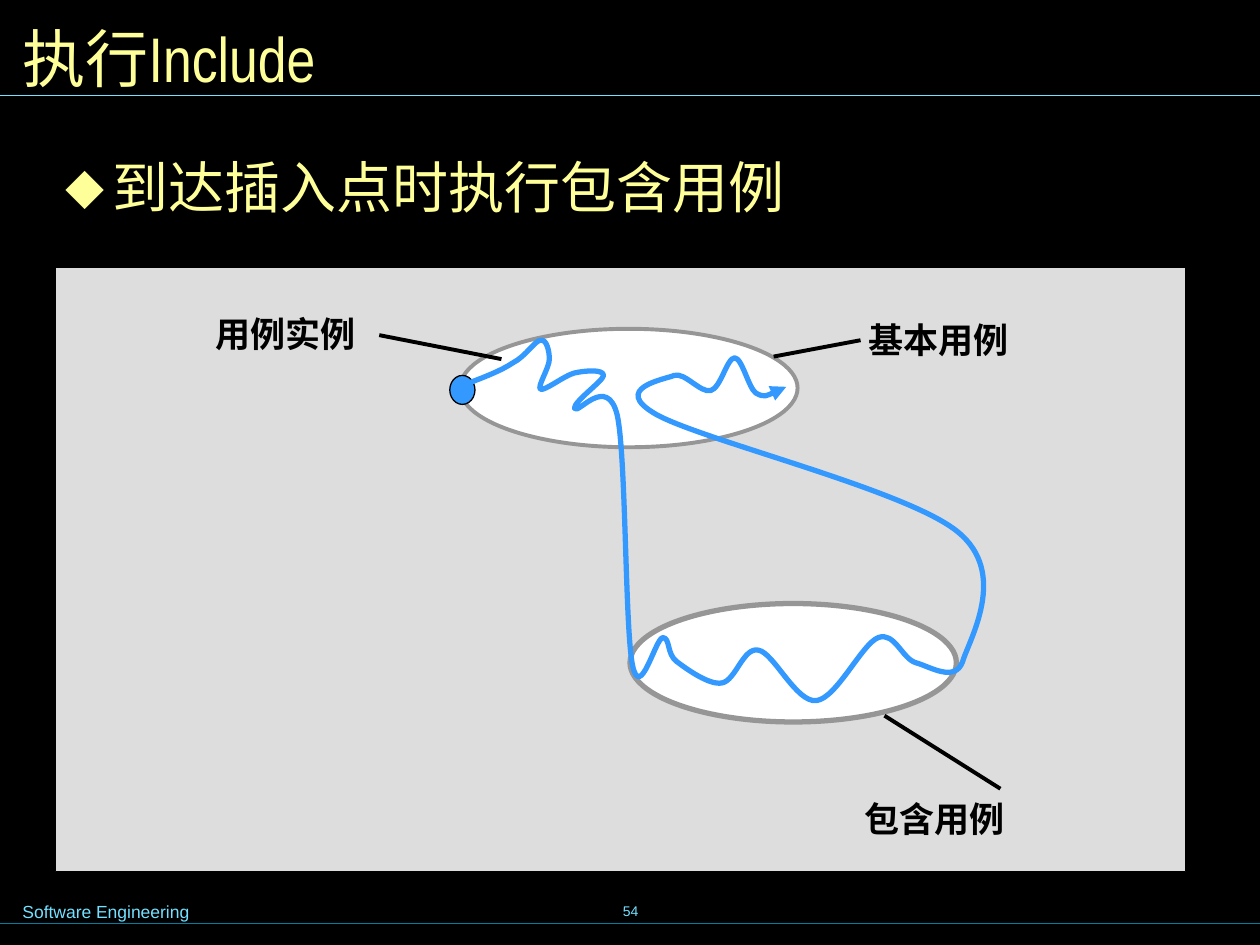
from lxml import etree
from pptx import Presentation
from pptx.dml.color import RGBColor
from pptx.enum.shapes import MSO_CONNECTOR, MSO_SHAPE
from pptx.enum.text import MSO_ANCHOR, MSO_AUTO_SIZE, PP_ALIGN
from pptx.oxml.ns import qn
from pptx.util import Inches, Pt

STRAIGHT = MSO_CONNECTOR.STRAIGHT
OVAL, RECTANGLE = MSO_SHAPE.OVAL, MSO_SHAPE.RECTANGLE
TOP, MIDDLE = MSO_ANCHOR.TOP, MSO_ANCHOR.MIDDLE
LEFT, CENTER = PP_ALIGN.LEFT, PP_ALIGN.CENTER
NO_AUTOFIT = MSO_AUTO_SIZE.NONE

BLACK = RGBColor(0x00, 0x00, 0x00)
WHITE = RGBColor(0xFF, 0xFF, 0xFF)
YELLOW = RGBColor(0xFF, 0xFF, 0x99)
CYAN = RGBColor(0x73, 0xE1, 0xFF)
TEAL = RGBColor(0x00, 0x7E, 0x9F)
PANEL_GRAY = RGBColor(0xDD, 0xDD, 0xDD)
OUTLINE_GRAY = RGBColor(0x96, 0x96, 0x96)
FLOW_BLUE = RGBColor(0x33, 0x99, 0xFF)

FLOW_START = (3.72, 3.04)
# Each row is one Bezier segment: two control points and an end point.
FLOW_CURVES = [
    [(3.85, 2.99), (3.98, 2.94), (4.07, 2.88)],
    [(4.17, 2.83), (4.25, 2.7), (4.29, 2.7)],
    [(4.34, 2.69), (4.36, 2.79), (4.36, 2.85)],
    [(4.36, 2.92), (4.26, 3.07), (4.29, 3.09)],
    [(4.33, 3.1), (4.48, 2.98), (4.56, 2.96)],
    [(4.65, 2.94), (4.79, 2.93), (4.79, 2.98)],
    [(4.79, 3.02), (4.55, 3.19), (4.56, 3.24)],
    [(4.58, 3.3), (4.82, 2.96), (4.9, 3.3)],
    [(4.97, 3.64), (4.96, 4.99), (5.02, 5.28)],
    [(5.08, 5.57), (5.2, 5.07), (5.26, 5.06)],
    [(5.32, 5.06), (5.29, 5.19), (5.37, 5.25)],
    [(5.45, 5.31), (5.63, 5.44), (5.73, 5.42)],
    [(5.84, 5.4), (5.9, 5.13), (6.02, 5.16)],
    [(6.14, 5.18), (6.32, 5.58), (6.48, 5.56)],
    [(6.64, 5.54), (6.84, 5.11), (6.97, 5.06)],
    [(7.1, 5.01), (7.16, 5.23), (7.27, 5.26)],
    [(7.38, 5.29), (7.58, 5.42), (7.64, 5.25)],
    [(7.69, 5.08), (8.01, 4.55), (7.6, 4.22)],
    [(7.2, 3.89), (5.59, 3.5), (5.21, 3.29)],
    [(4.84, 3.08), (5.28, 3.01), (5.35, 2.98)],
    [(5.43, 2.95), (5.56, 3.12), (5.64, 3.1)],
    [(5.72, 3.08), (5.77, 2.84), (5.83, 2.84)],
    [(5.89, 2.84), (5.94, 3.08), (6, 3.12)],
    [(6.07, 3.16), (6.16, 3.11), (6.24, 3.07)],
]


def place(shape, left, top, width, height):
    shape.left, shape.top = Inches(left), Inches(top)
    shape.width, shape.height = Inches(width), Inches(height)


def write(shape, text, size, color, font="Arial", bold=False, align=LEFT,
          anchor=TOP, wrap=True, inset=(0.1, 0.05)):
    frame = shape.text_frame
    frame.text = text
    frame.word_wrap = wrap
    frame.auto_size = NO_AUTOFIT
    frame.vertical_anchor = anchor
    frame.margin_left = frame.margin_right = Inches(inset[0])
    frame.margin_top = frame.margin_bottom = Inches(inset[1])
    paragraph = frame.paragraphs[0]
    paragraph.alignment = align
    paragraph.space_before = Pt(0)
    run_font = paragraph.runs[0].font
    run_font.name, run_font.size, run_font.bold = font, Pt(size), bold
    run_font.color.rgb = color


def add_text(slide, box, text, size, color, **style):
    write(slide.shapes.add_textbox(*map(Inches, box)), text, size, color, **style)


def add_label(slide, left, top, text):
    add_text(slide, (left, top, 1.35, 0.45), text, 20, BLACK, bold=True,
             wrap=False, inset=(0.12, 0.06))


def add_line(slide, start, end, color, width):
    line = slide.shapes.add_connector(STRAIGHT, *map(Inches, start + end))
    line.line.color.rgb = color
    line.line.width = Pt(width)
    etree.SubElement(line._element.spPr, qn("a:effectLst"))


def add_filled(slide, kind, box, fill, outline, width):
    shape = slide.shapes.add_shape(kind, *map(Inches, box))
    shape.shadow.inherit = False
    shape.fill.solid()
    shape.fill.fore_color.rgb = fill
    shape.line.color.rgb = outline
    shape.line.width = Pt(width)


def add_bullet(paragraph, indent):
    properties = paragraph._p.get_or_add_pPr()
    properties.set("marL", str(Inches(indent)))
    properties.set("indent", str(-Inches(indent)))
    color = etree.SubElement(properties, qn("a:buClr"))
    etree.SubElement(color, qn("a:srgbClr")).set("val", str(YELLOW))
    etree.SubElement(properties, qn("a:buChar")).set("char", "⬥")


def add_flow(slide):
    """Draw the execution path, turning each three line steps into a Bezier."""
    builder = slide.shapes.build_freeform(*map(Inches, FLOW_START))
    builder.add_line_segments(
        [(Inches(x), Inches(y)) for curve in FLOW_CURVES for x, y in curve],
        close=False)
    flow = builder.convert_to_shape()
    flow.shadow.inherit = False
    flow.fill.background()
    flow.line.color.rgb = FLOW_BLUE
    flow.line.width = Pt(3)

    outline = flow._element.spPr.find(".//" + qn("a:path"))
    steps = outline.findall(qn("a:lnTo"))
    for first in range(0, len(steps), 3):
        bezier = etree.SubElement(outline, qn("a:cubicBezTo"))
        for step in steps[first:first + 3]:
            bezier.append(step[0])
            outline.remove(step)
    arrow = etree.SubElement(flow.line._get_or_add_ln(), qn("a:tailEnd"))
    arrow.set("type", "triangle")


def add_header_and_footer(slide):
    add_text(slide, (3.42, 6.98, 3.17, 0.5), "54", 8, CYAN, align=CENTER,
             anchor=MIDDLE, wrap=False)
    add_line(slide, (0, 7.33), (10.04, 7.33), TEAL, 0.75)
    add_line(slide, (0, 0.76), (10, 0.76), CYAN, 0.75)
    add_text(slide, (0.08, 7.1, 2.95, 0.27), "Software Engineering", 10, CYAN)


def fill_placeholders(slide):
    title, body = slide.placeholders
    place(title, 0.08, 0.08, 9.84, 0.75)
    write(title, "执行Include", 36, YELLOW, font="Arial Narrow", anchor=MIDDLE)
    place(body, 0.4, 1.15, 9.29, 5.52)
    write(body, "到达插入点时执行包含用例", 32, YELLOW, inset=(0.12, 0.06))
    add_bullet(body.text_frame.paragraphs[0], 0.37)


def add_diagram(slide):
    add_filled(slide, RECTANGLE, (0.44, 2.12, 8.97, 4.8), PANEL_GRAY, BLACK, 0.75)
    add_filled(slide, OVAL, (3.65, 2.61, 2.68, 0.94), WHITE, OUTLINE_GRAY, 2.25)
    add_filled(slide, OVAL, (5, 4.79, 2.59, 0.94), WHITE, OUTLINE_GRAY, 3)
    add_filled(slide, OVAL, (3.57, 2.98, 0.2, 0.23), FLOW_BLUE, BLACK, 0.75)
    add_flow(slide)
    for start, end in [((6.83, 2.7), (6.14, 2.83)),
                       ((3.01, 2.66), (3.98, 2.85)),
                       ((7.02, 5.68), (7.94, 6.26))]:
        add_line(slide, start, end, BLACK, 2.25)
    add_label(slide, 1.59, 2.42, "用例实例")
    add_label(slide, 6.77, 2.47, "基本用例")
    add_label(slide, 6.74, 6.27, "包含用例")


def main():
    presentation = Presentation()
    presentation.slide_width, presentation.slide_height = Inches(10), Inches(7.5)
    slide = presentation.slides.add_slide(presentation.slide_layouts[1])
    slide.background.fill.solid()
    slide.background.fill.fore_color.rgb = BLACK
    add_header_and_footer(slide)
    fill_placeholders(slide)
    add_diagram(slide)
    presentation.save("out.pptx")


if __name__ == "__main__":
    main()
